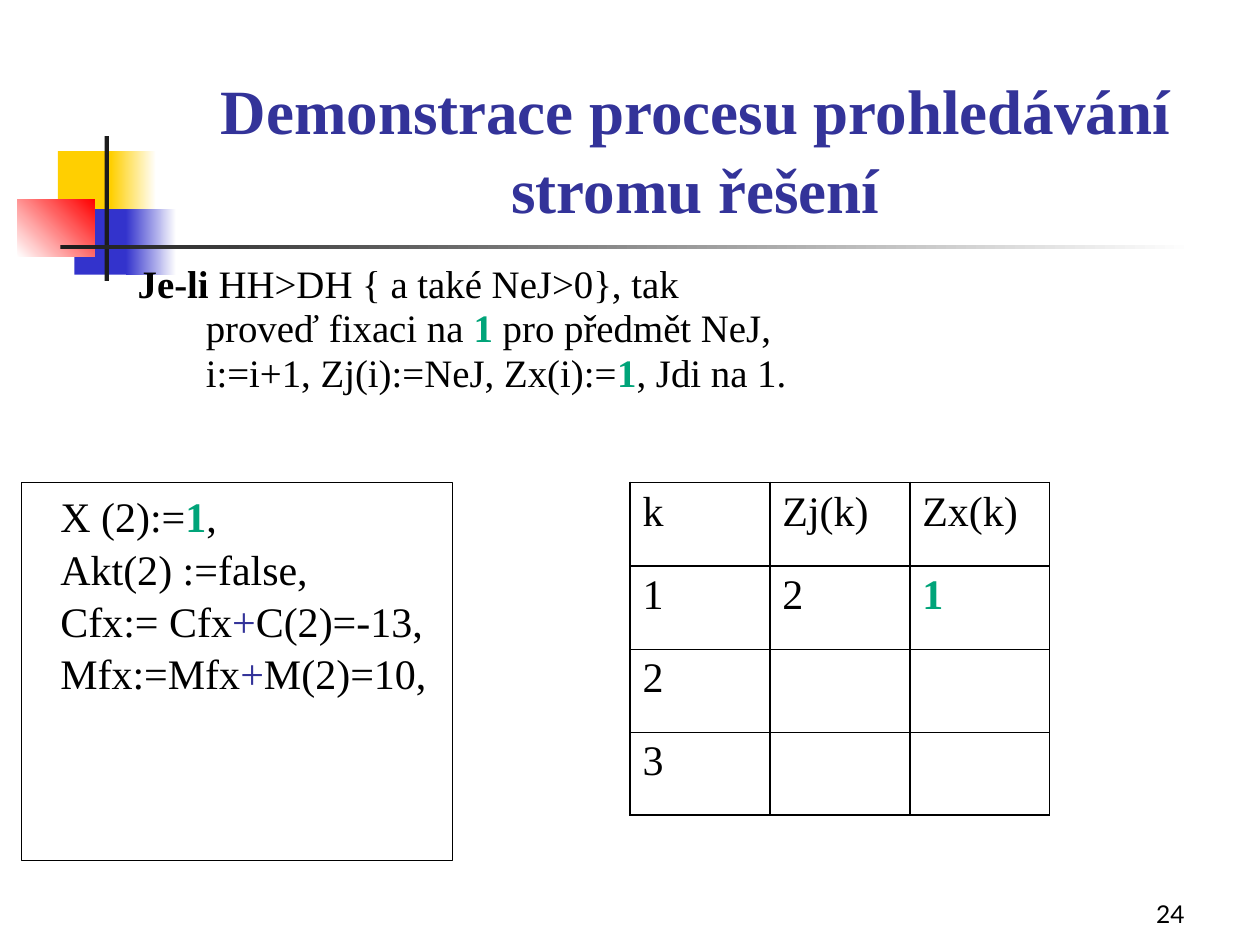
from typing import NamedTuple

from lxml.etree import SubElement
from pptx import Presentation
from pptx.dml.color import RGBColor
from pptx.enum.shapes import MSO_SHAPE as Preset
from pptx.enum.text import MSO_ANCHOR as Anchor, PP_ALIGN as Align
from pptx.oxml import parse_xml
from pptx.oxml.ns import nsdecls, qn
from pptx.util import Emu, Inches, Pt

UNIT = Inches(0.1)  # the slide is a grid of 100 columns and 75 rows
SERIF = "Times New Roman"
BLACK, WHITE, DARK = "000000", "FFFFFF", "1C1C1C"
YELLOW, BLUE, RED = "FFCF01", "3333CC", "FF0000"
NAVY, GREEN = "333399", "00A479"


class Place(NamedTuple):
    col: float
    row: float
    cols: float
    rows: float


class Run(NamedTuple):
    text: str
    color: str = BLACK
    bold: bool = False


class Line(NamedTuple):
    runs: list[Run]
    indent: float = 0  # grid columns


class Style(NamedTuple):
    size: float
    font: str = SERIF
    paragraph: dict = {}


class Block(NamedTuple):
    place: Place
    fill: str
    fade_to: str | None = None
    angle: float = 0


ONE = Run("1", GREEN, True)
PLUS = Run("+", NAVY)

DECORATION = [
    Block(Place(4.6, 12, 4.8, 5.2), YELLOW),
    Block(Place(8.8, 12, 3.6, 5.2), YELLOW, WHITE),
    Block(Place(5.9, 16.6, 4.6, 5.2), BLUE),
    Block(Place(10, 16.6, 4, 5.2), BLUE, WHITE),
    Block(Place(1.4, 15.8, 6.1, 4.6), WHITE, RED, 45),
    Block(Place(8.3, 10.8, 0.35, 11.5), DARK),
    Block(Place(4.8, 19.45, 90, 0.35), DARK, WHITE),
]
TITLE = [Line([Run("Demonstrace procesu prohledávání stromu řešení", NAVY, True)])]
RULE = [
    Line([Run("Je-li", bold=True), Run(" HH>DH { a také NeJ>0}, tak")], 7.45),
    Line([Run("proveď fixaci na "), ONE, Run(" pro předmět NeJ,")], 12.85),
    Line([Run("i:=i+1, Zj(i):=NeJ, Zx(i):="), ONE, Run(", Jdi na 1.")], 12.85),
]
FIXATION = [
    Line([Run("X (2):="), ONE, Run(",")], 2.1),
    Line([Run("Akt(2) :=false,")], 2.1),
    Line([Run("Cfx:= Cfx"), PLUS, Run("C(2)=-13,")], 2.1),
    Line([Run("Mfx:=Mfx"), PLUS, Run("M(2)=10,")], 2.1),
]
STACK = [
    [Run("k"), Run("Zj(k)"), Run("Zx(k)")],
    [Run("1"), Run("2"), ONE],
    [Run("2"), None, None],
    [Run("3"), None, None],
]


def rgb(color: str) -> RGBColor:
    return RGBColor.from_string(color)


def emu(place: Place) -> list[Emu]:
    return [Emu(round(length * UNIT)) for length in place]


def assign(target, values: dict) -> None:
    for name, value in values.items():
        setattr(target, name, value)


def write(frame, lines: list[Line], style: Style) -> None:
    for number, line in enumerate(lines):
        paragraph = frame.add_paragraph() if number else frame.paragraphs[0]
        assign(paragraph, style.paragraph)
        if number == 0:
            paragraph.space_before = Pt(0)
        if line.indent:
            properties = paragraph._p.get_or_add_pPr()
            properties.set("marL", str(round(line.indent * UNIT)))
            properties.set("indent", "0")
        for part in line.runs:
            run = paragraph.add_run()
            run.text = part.text
            assign(run.font, {"name": style.font, "size": Pt(style.size), "bold": part.bold})
            run.font.color.rgb = rgb(part.color)


def add_text(slide, place: Place, lines: list[Line], style: Style, anchor=Anchor.TOP):
    box = slide.shapes.add_textbox(*emu(place))
    assign(box.text_frame, {"word_wrap": True, "vertical_anchor": anchor})
    write(box.text_frame, lines, style)
    return box


def add_block(slide, block: Block) -> None:
    shape = slide.shapes.add_shape(Preset.RECTANGLE, *emu(block.place))
    shape.shadow.inherit = False
    shape.line.fill.background()
    if block.fade_to is None:
        shape.fill.solid()
        shape.fill.fore_color.rgb = rgb(block.fill)
        return
    shape.fill.gradient()
    shape.fill.gradient_angle = block.angle
    for stop, color in zip(shape.fill.gradient_stops, (block.fill, block.fade_to)):
        stop.color.rgb = rgb(color)


def set_borders(cell, widths: dict[str, float]) -> None:
    """Put black borders, in points by side, ahead of the cell's fill."""
    properties = cell._tc.get_or_add_tcPr()
    for position, (side, width) in enumerate(widths.items()):
        border = parse_xml(f'<a:ln{side} {nsdecls("a")} w="{Pt(width)}"/>')
        solid = SubElement(border, qn("a:solidFill"))
        SubElement(solid, qn("a:srgbClr"), val=BLACK)
        properties.insert(position, border)


def add_stack(slide, place: Place, rows: list, style: Style) -> None:
    thick, thin = 1.08, 0.45
    last = len(rows) - 1
    table = slide.shapes.add_table(len(rows), len(rows[0]), *emu(place)).table
    assign(table, {"first_row": False, "horz_banding": False})
    for r, row in enumerate(rows):
        for c, content in enumerate(row):
            cell = table.cell(r, c)
            cell.fill.background()
            set_borders(cell, {
                "L": thick,
                "R": thick,
                "T": thin if r > 1 else thick,
                "B": thin if 0 < r < last else thick,
            })
            if content:
                write(cell.text_frame, [Line([content])], style)
            else:
                cell.text_frame.paragraphs[0].font.size = Pt(style.size)


def main() -> None:
    deck = Presentation()
    assign(deck, {"slide_width": 100 * UNIT, "slide_height": 75 * UNIT})
    slide = deck.slides.add_slide(deck.slide_layouts[6])

    for block in DECORATION:
        add_block(slide, block)
    add_text(slide, Place(74.2, 69.2, 20.8, 5), [Line([Run("24")])],
             Style(14, "Lato", {"alignment": Align.RIGHT}), Anchor.BOTTOM)
    add_text(slide, Place(12.6, 4.2, 85.2, 14.2), TITLE,
             Style(36, paragraph={"alignment": Align.CENTER, "line_spacing": 1.04}),
             Anchor.BOTTOM)
    add_text(slide, Place(2.5, 21, 95, 14.2), RULE,
             Style(22.2, paragraph={"line_spacing": 0.73, "space_before": Pt(6)}))
    fixation = add_text(slide, Place(1.7, 38.3, 34.2, 30), FIXATION,
                        Style(24, paragraph={"line_spacing": 1.04}))
    fixation.line.color.rgb = rgb(BLACK)
    fixation.line.width = Pt(0.75)
    add_stack(slide, Place(50, 38.3, 33.3, 26.4), STACK, Style(24))

    deck.save("out.pptx")


if __name__ == "__main__":
    main()
